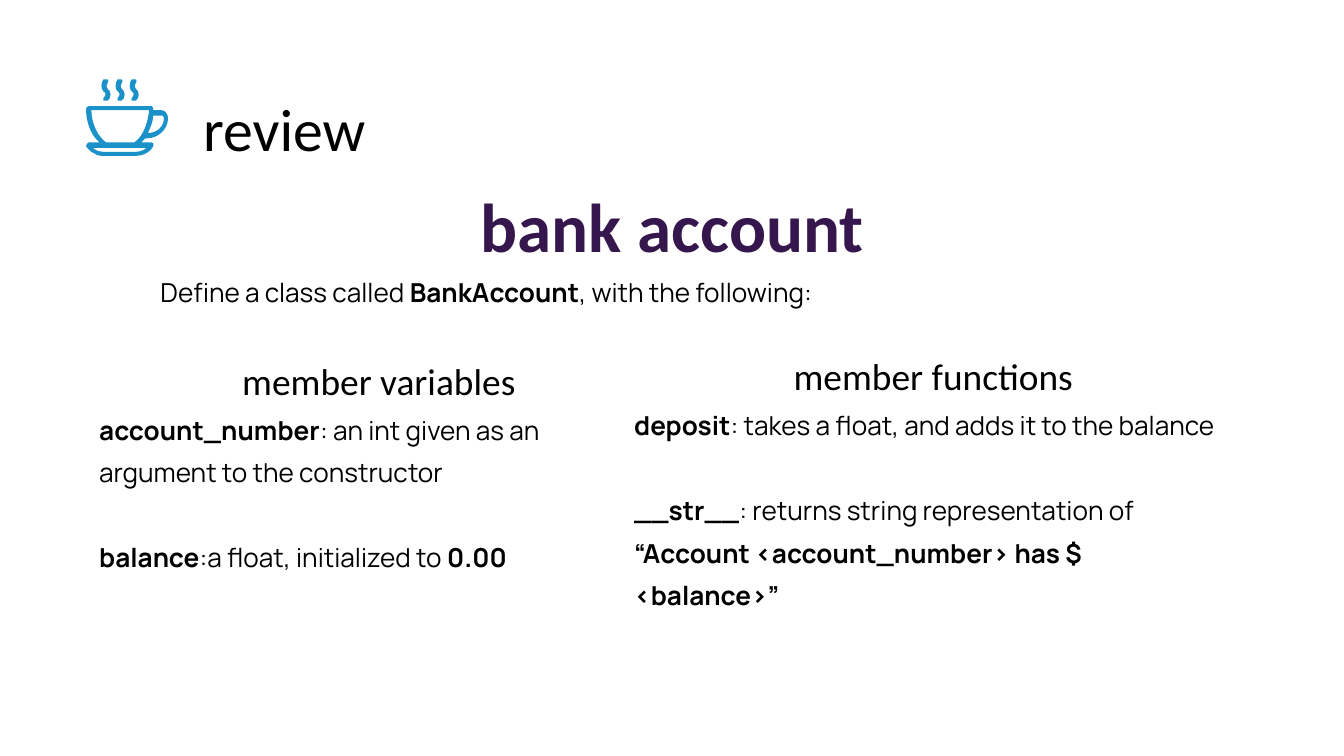
from dataclasses import dataclass
from pptx import Presentation
from pptx.dml.color import RGBColor
from pptx.enum.text import MSO_ANCHOR, MSO_AUTO_SIZE, PP_ALIGN
from pptx.oxml.ns import qn
from pptx.oxml.xmlchemy import OxmlElement
from pptx.util import Pt


@dataclass(frozen=True)
class Theme:
    ink: RGBColor = RGBColor(0x00, 0x00, 0x00)
    purple: RGBColor = RGBColor(0x36, 0x17, 0x4D)
    blue: RGBColor = RGBColor(0x1B, 0x91, 0xCA)
    heading_font: str = "Calibri"
    body_font: str = "Manrope"
    title_size: int = 32
    topic_size: int = 37
    column_size: int = 20
    body_size: int = 14
    body_spacing: float = 1.36
    topic_spacing: float = 0.8
    inset: float = 7.2
    item_gap: float = 22.5


THEME = Theme()

TITLE = ("review ", (35.7, 42.1, 240.48, 67.68))

SECTIONS = [
    {
        "frame": (78.9, 99.5, 562.32, 67.68),
        "heading": "bank account",
        "style": (THEME.topic_size, THEME.purple, True, THEME.topic_spacing),
        "items": [[("Define a class called ", False), ("BankAccount", True),
                   (", with the following:", False)]],
    },
    {
        "frame": (46.08, 176, 313.92, 133.2),
        "heading": "member variables",
        "style": (THEME.column_size, THEME.ink, False, THEME.body_spacing),
        "items": [
            [("account_number", True),
             (": an int given as an argument to the constructor", False)],
            [("balance", True), (":a float, initialized to ", False), ("0.00", True)],
        ],
    },
    {
        "frame": (332.64, 173.6, 334.8, 156.24),
        "heading": "member functions",
        "style": (THEME.column_size, THEME.ink, False, THEME.body_spacing),
        "items": [
            [("deposit", True), (": takes a float, and adds it to the balance", False)],
            [("__str__", True), (": returns string representation of ", False),
             ("“Account <account_number> has $ <balance>”", True)],
        ],
    },
]

ICON_UNIT = Pt(0.72)
STEAM_OFFSETS = (0, 10.5, 21)
STEAM = [[
    (79, 59), (78, 59, 78, 59, 77, 59), (75, 62, 75, 66, 77, 68),
    (79, 69, 79, 71, 77, 73), (77, 73, 77, 74, 77, 75), (78, 75, 78, 75, 79, 75),
    (79, 75, 80, 75, 80, 75), (83, 73, 83, 68, 80, 66), (79, 65, 79, 63, 80, 62),
    (81, 61, 81, 60, 80, 59), (80, 59, 79, 59, 79, 59),
]]
CUP = [
    [(120, 86), (121, 86, 122, 86, 122, 88), (122, 94, 117, 99, 110, 99),
     (112, 95, 114, 90, 114, 86)],
    [(111, 82), (110, 91, 107, 101, 100, 106), (79, 106),
     (73, 102, 68, 92, 68, 82)],
    [(109, 110), (107, 112, 104, 113, 101, 113), (77, 113),
     (74, 113, 71, 112, 69, 110)],
    [(66, 79), (65, 79, 64, 80, 64, 81), (64, 90, 67, 100, 74, 106), (66, 106),
     (65, 106, 64, 108, 64, 109), (66, 111, 67, 113, 70, 114),
     (72, 116, 75, 116, 77, 116), (101, 116), (107, 116, 112, 113, 114, 109),
     (115, 108, 114, 106, 113, 106), (105, 106), (108, 103), (109, 103),
     (118, 103, 125, 96, 125, 88), (125, 85, 123, 82, 120, 82), (114, 82),
     (114, 81), (114, 80, 113, 79, 113, 79)],
]


def outline_points(outline, offset):
    return [((x + offset) * ICON_UNIT, y * ICON_UNIT)
            for segment in outline
            for x, y in zip(segment[::2], segment[1::2])]


def bend_curves(shape, outlines):
    lines = iter(list(shape.element.iter(qn("a:lnTo"))))
    for outline in outlines:
        for segment in outline[1:]:
            group = [next(lines) for _ in range(len(segment) // 2)]
            if len(group) == 1:
                continue
            curve = OxmlElement("a:cubicBezTo")
            group[0].addprevious(curve)
            for line in group:
                curve.append(line[0])
                line.getparent().remove(line)


def add_icon_part(page, outlines, offset=0):
    first, *others = [outline_points(outline, offset) for outline in outlines]
    builder = page.shapes.build_freeform(*first[0])
    builder.add_line_segments(first[1:], close=True)
    for points in others:
        builder.move_to(*points[0])
        builder.add_line_segments(points[1:], close=True)
    shape = builder.convert_to_shape()
    bend_curves(shape, outlines)
    shape.shadow.inherit = False
    shape.fill.solid()
    shape.fill.fore_color.rgb = THEME.blue
    shape.line.fill.background()


def format_span(span, font, size, color, bold):
    span.font.name = font
    span.font.size = Pt(size)
    span.font.color.rgb = color
    span.font.bold = bold


def prepare_frame(frame):
    frame.word_wrap = True
    frame.auto_size = MSO_AUTO_SIZE.SHAPE_TO_FIT_TEXT
    frame.vertical_anchor = MSO_ANCHOR.TOP
    frame.margin_left = frame.margin_right = Pt(THEME.inset)
    frame.margin_top = frame.margin_bottom = Pt(THEME.inset)


def add_title(page, text, bounds):
    title = page.shapes.title
    title.left, title.top, title.width, title.height = map(Pt, bounds)
    prepare_frame(title.text_frame)
    title.text_frame.text = text
    para = title.text_frame.paragraphs[0]
    para.alignment = PP_ALIGN.CENTER
    format_span(para.runs[0], THEME.heading_font, THEME.title_size, THEME.ink, False)


def add_section(page, section):
    frame = page.shapes.add_textbox(*map(Pt, section["frame"])).text_frame
    prepare_frame(frame)
    size, color, bold, spacing = section["style"]
    frame.text = section["heading"]
    heading = frame.paragraphs[0]
    heading.alignment = PP_ALIGN.CENTER
    heading.line_spacing = spacing
    format_span(heading.runs[0], THEME.heading_font, size, color, bold)
    for index, item in enumerate(section["items"]):
        para = frame.add_paragraph()
        para.alignment = PP_ALIGN.LEFT
        para.line_spacing = THEME.body_spacing
        para.space_before = Pt(THEME.item_gap if index else 0)
        for text, strong in item:
            span = para.add_run()
            span.text = text
            format_span(span, THEME.body_font, THEME.body_size, THEME.ink, strong)


def main():
    deck = Presentation()
    deck.slide_width, deck.slide_height = Pt(720), Pt(405)
    page = deck.slides.add_slide(deck.slide_layouts[5])
    add_title(page, *TITLE)
    for offset in STEAM_OFFSETS:
        add_icon_part(page, STEAM, offset)
    add_icon_part(page, CUP)
    for section in SECTIONS:
        add_section(page, section)
    deck.save("out.pptx")


if __name__ == "__main__":
    main()
